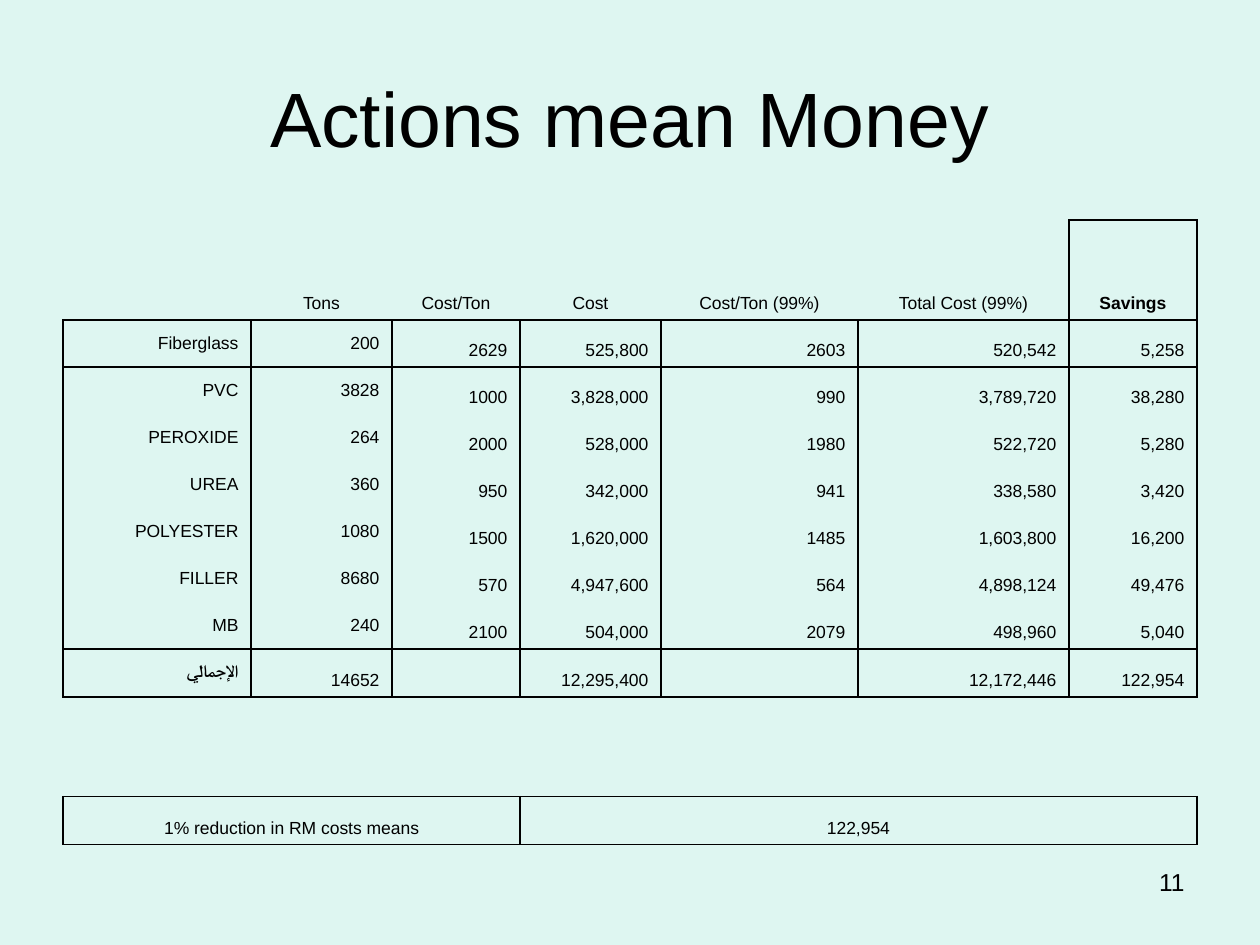
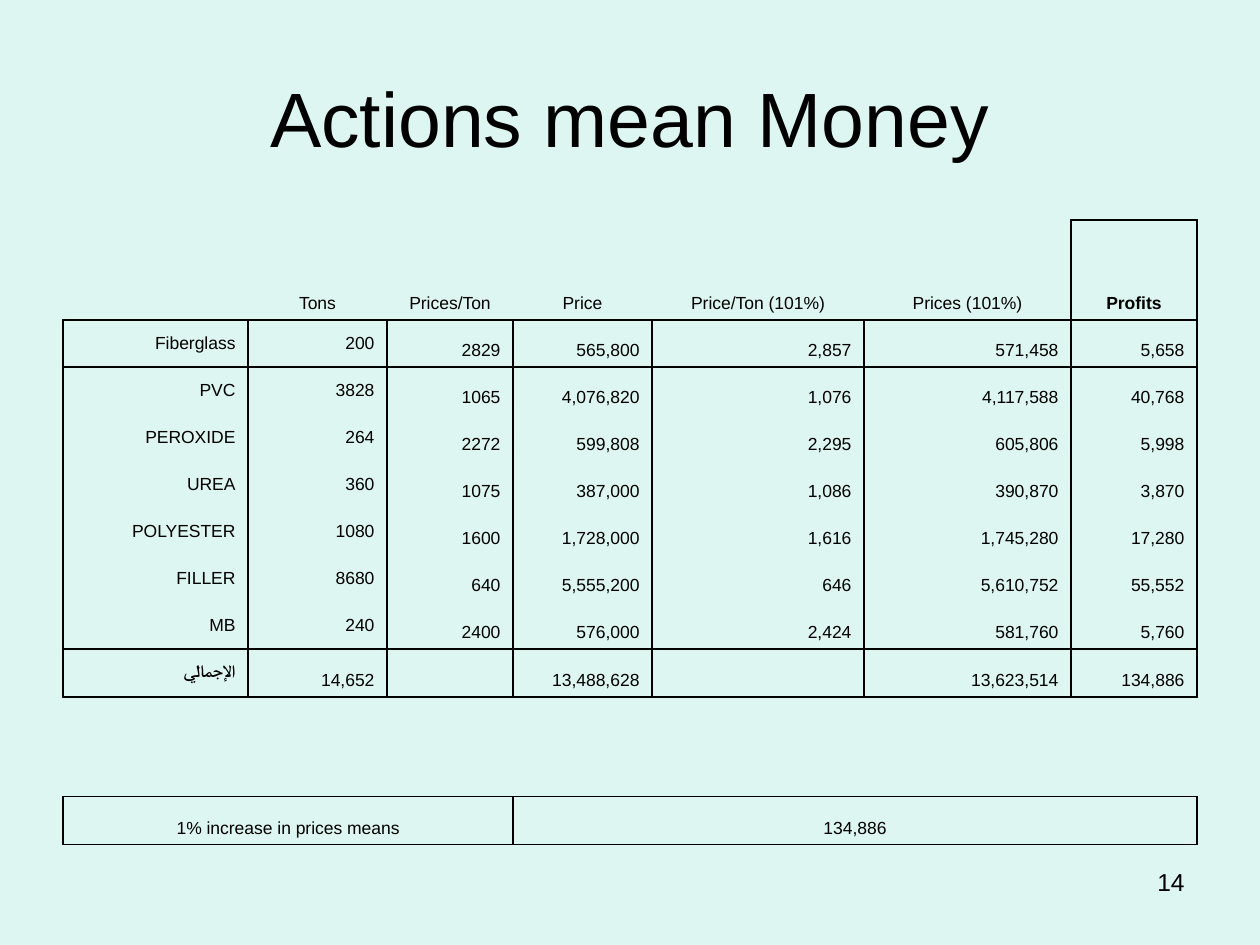
from lxml.etree import SubElement
from pptx import Presentation
from pptx.dml.color import RGBColor
from pptx.enum.text import MSO_ANCHOR, MSO_AUTO_SIZE, PP_ALIGN
from pptx.oxml.ns import qn
from pptx.util import Emu, Pt

COLORS = {"background": "DEF6F1", "ink": "000000"}
FONT = "Arial"
TITLE = "Actions mean Money"
MATERIALS = ["Fiberglass", "PVC", "PEROXIDE", "UREA", "POLYESTER", "FILLER", "MB", "الإجمالي"]

SLIDES = [
    {
        "number": "11",
        "widths": [188, 141, 128, 141, 197, 211, 128],
        "header": ["", "Tons", "Cost/Ton", "Cost", "Cost/Ton (99%)", "Total Cost (99%)", "Savings"],
        "figures": [
            ["200", "2629", "525,800", "2603", "520,542", "5,258"],
            ["3828", "1000", "3,828,000", "990", "3,789,720", "38,280"],
            ["264", "2000", "528,000", "1980", "522,720", "5,280"],
            ["360", "950", "342,000", "941", "338,580", "3,420"],
            ["1080", "1500", "1,620,000", "1485", "1,603,800", "16,200"],
            ["8680", "570", "4,947,600", "564", "4,898,124", "49,476"],
            ["240", "2100", "504,000", "2079", "498,960", "5,040"],
            ["14652", "", "12,295,400", "", "12,172,446", "122,954"],
        ],
        "summary": ("1% reduction in RM costs means", "122,954"),
    },
    {
        "number": "14",
        "widths": [185, 139, 126, 139, 212, 207, 126],
        "header": ["", "Tons", "Prices/Ton", "Price", "Price/Ton (101%)", "Prices (101%)", "Profits"],
        "figures": [
            ["200", "2829", "565,800", "2,857", "571,458", "5,658"],
            ["3828", "1065", "4,076,820", "1,076", "4,117,588", "40,768"],
            ["264", "2272", "599,808", "2,295", "605,806", "5,998"],
            ["360", "1075", "387,000", "1,086", "390,870", "3,870"],
            ["1080", "1600", "1,728,000", "1,616", "1,745,280", "17,280"],
            ["8680", "640", "5,555,200", "646", "5,610,752", "55,552"],
            ["240", "2400", "576,000", "2,424", "581,760", "5,760"],
            ["14,652", "", "13,488,628", "", "13,623,514", "134,886"],
        ],
        "summary": ("1% increase in prices means", "134,886"),
    },
]

# Boxes are left, top, width, height in px
SLIDE_SIZE = (1260, 945)
TITLE_BOX = (63, 38, 1134, 158)
NUMBER_BOX = (903, 861, 294, 66)
TABLE_LEFT, TABLE_TOP = 63, 220
ROW_HEIGHTS = [100] + [47] * 7 + [48, 100, 48]
HANGING_INDENT = 48

COLS = 7
TOTAL_ROW, GAP_ROW, SUMMARY_ROW = 8, 9, 10
SUMMARY_SPLIT = 3
RULED_ROW_EDGES = {1, TOTAL_ROW, GAP_ROW, SUMMARY_ROW, SUMMARY_ROW + 1}
PLAIN_TABLE_STYLE = "{2D5ABB26-0587-4C30-8999-92F81FD0307C}"


def px(n):
    return Emu(round(n * 914400 / 126))


def place(sp, box):
    sp.left, sp.top, sp.width, sp.height = map(px, box)


def format_text(tf, size, align, bold=False):
    p = tf.paragraphs[0]
    p.alignment = align
    for r in p.runs:
        r.font.name, r.font.size, r.font.bold = FONT, Pt(size), bold
        r.font.color.rgb = RGBColor.from_string(COLORS["ink"])
    return p


def has_horizontal(edge, col):
    return edge in RULED_ROW_EDGES or (edge == 0 and col == COLS - 1)


def has_vertical(row, edge):
    if row == 0:
        return edge >= COLS - 1
    if row == SUMMARY_ROW:
        return edge in (0, SUMMARY_SPLIT, COLS)
    return row != GAP_ROW


def draw_borders(cell, row, col):
    right = col + (cell.span_width if cell.is_merge_origin else 1)
    sides = {
        "L": has_vertical(row, col),
        "R": has_vertical(row, right),
        "T": has_horizontal(row, col),
        "B": has_horizontal(row + 1, col),
    }
    tcPr = cell._tc.get_or_add_tcPr()
    for side, drawn in sides.items():
        if drawn:
            ln = SubElement(tcPr, qn(f"a:ln{side}"), w=str(Pt(1)))
            fill = SubElement(ln, qn("a:solidFill"))
            SubElement(fill, qn("a:srgbClr"), val=COLORS["ink"])


def format_cell(cell, row, col):
    draw_borders(cell, row, col)
    cell.fill.background()
    body = 0 < row < GAP_ROW
    centred = col == 0 or (col == 1 and row < TOTAL_ROW)
    cell.vertical_anchor = MSO_ANCHOR.MIDDLE if body and centred else MSO_ANCHOR.BOTTOM
    bold = (row, col) in ((0, COLS - 1), (TOTAL_ROW, 0))
    p = format_text(cell.text_frame, 10, PP_ALIGN.RIGHT if body else PP_ALIGN.CENTER, bold)
    pPr = p._p.get_or_add_pPr()
    pPr.set("marL", str(px(HANGING_INDENT)))
    pPr.set("indent", str(-px(HANGING_INDENT)))
    if not cell.text:
        SubElement(p._p, qn("a:endParaRPr"), sz="1000")


def add_money_table(slide, data):
    label, amount = data["summary"]
    summary = [""] * COLS
    summary[0], summary[SUMMARY_SPLIT] = label, amount
    body = [[name, *figures] for name, figures in zip(MATERIALS, data["figures"])]
    rows = [data["header"], *body, [""] * COLS, summary]

    box = (TABLE_LEFT, TABLE_TOP, sum(data["widths"]), sum(ROW_HEIGHTS))
    frame = slide.shapes.add_table(len(rows), COLS, *map(px, box))
    table = frame.table
    table.first_row = table.horz_banding = False
    table._tbl.tblPr.find(qn("a:tableStyleId")).text = PLAIN_TABLE_STYLE
    for column, width in zip(table.columns, data["widths"]):
        column.width = px(width)
    for row, height in zip(table.rows, ROW_HEIGHTS):
        row.height = px(height)

    for first, last in ((0, SUMMARY_SPLIT - 1), (SUMMARY_SPLIT, COLS - 1)):
        table.cell(SUMMARY_ROW, first).merge(table.cell(SUMMARY_ROW, last))
    for r, texts in enumerate(rows):
        for c, text in enumerate(texts):
            cell = table.cell(r, c)
            if text:
                cell.text_frame.text = text
            format_cell(cell, r, c)


def add_slide(prs, data):
    slide = prs.slides.add_slide(prs.slide_layouts[5])
    title = slide.shapes.title
    place(title, TITLE_BOX)
    tf = title.text_frame
    tf.text = TITLE
    tf.auto_size = MSO_AUTO_SIZE.NONE
    tf.vertical_anchor = MSO_ANCHOR.MIDDLE
    format_text(tf, 44, PP_ALIGN.CENTER)

    number = slide.shapes.add_textbox(*map(px, NUMBER_BOX))
    number.text_frame.word_wrap = True
    number.text_frame.text = data["number"]
    format_text(number.text_frame, 14, PP_ALIGN.RIGHT)

    add_money_table(slide, data)


def main():
    prs = Presentation()
    prs.slide_width, prs.slide_height = map(px, SLIDE_SIZE)
    fill = prs.slide_master.background.fill
    fill.solid()
    fill.fore_color.rgb = RGBColor.from_string(COLORS["background"])
    for data in SLIDES:
        add_slide(prs, data)
    prs.save("out.pptx")


if __name__ == "__main__":
    main()
